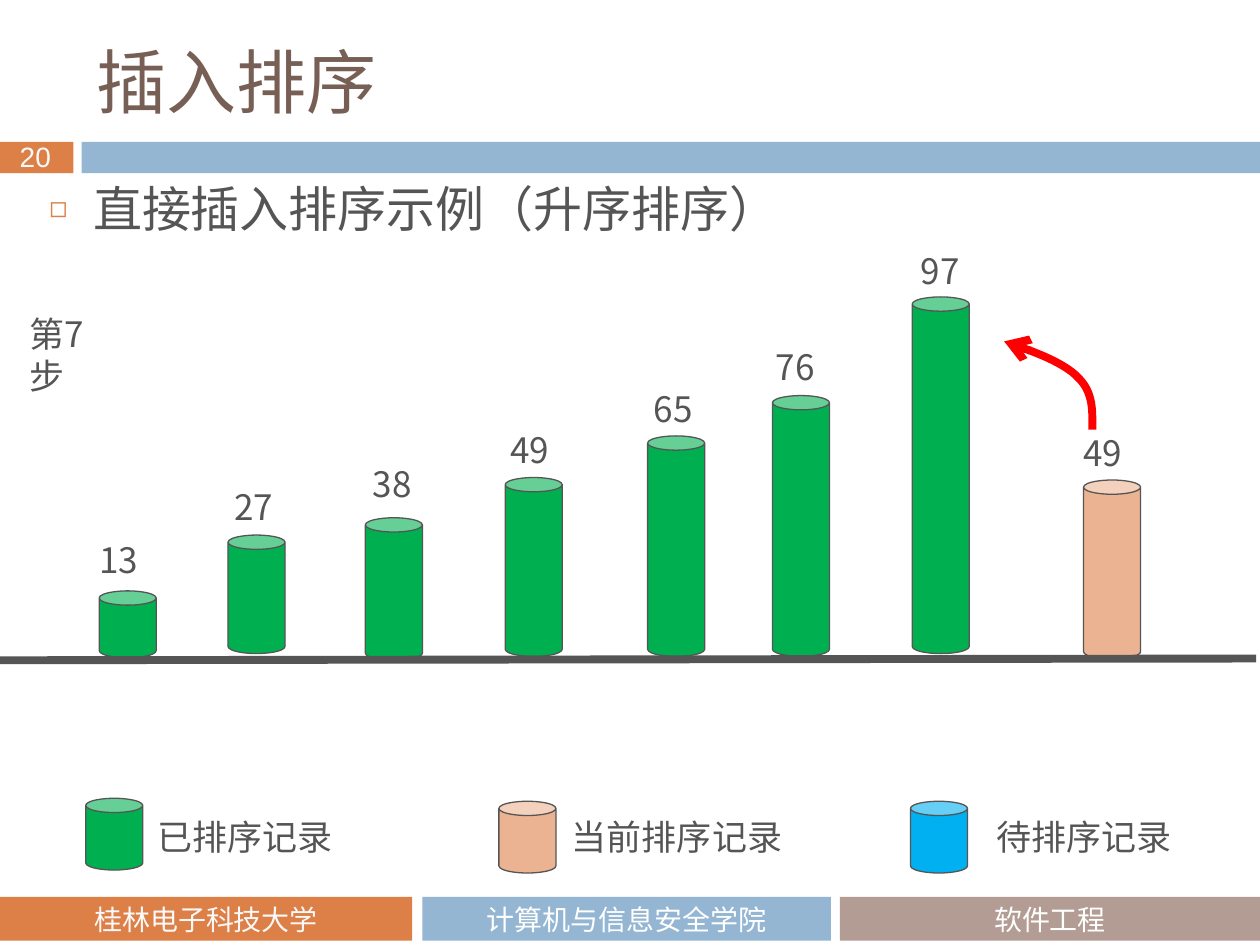
from dataclasses import dataclass

from lxml import etree
from pptx import Presentation
from pptx import util as u
from pptx.dml.color import RGBColor
from pptx.enum import shapes, text
from pptx.oxml import ns

Pt = u.Pt


@dataclass(frozen=True)
class Theme:
    orange: str = "DD8047"
    blue: str = "94B6D2"
    taupe: str = "B29C93"
    brown: str = "775F55"
    ink: str = "555555"
    white: str = "FFFFFF"
    off_white: str = "F9F9F9"
    sorted: str = "00B050"
    current: str = "EBB391"
    waiting: str = "00B0F0"
    red: str = "FF0000"
    title_font: str = "Noto Sans CJK JP"
    body_font: str = "Noto Sans CJK SC"
    footer_font: str = "Cabin"
    number_font: str = "Arial"
    title_size: int = 40
    body_size: int = 28
    label_size: int = 20
    footer_size: int = 16


def add_element(parent, tag, **attributes):
    return etree.SubElement(parent, ns.qn(tag), attributes)


def bezier(start, first, second, end, steps=16):
    """Points along a cubic curve, without its start."""
    for step in range(1, steps + 1):
        t = step / steps
        s = 1 - t
        yield tuple(s**3 * a + 3 * s * s * t * b + 3 * s * t * t * c + t**3 * d
                    for a, b, c, d in zip(start, first, second, end))


class SlideBuilder:
    def __init__(self, slide, theme):
        self.slide = slide
        self.theme = theme

    def style(self, paragraph, font, size, color):
        for run in paragraph.runs:
            run.font.name = font
            run.font.size = Pt(size)
            run.font.color.rgb = RGBColor.from_string(color)
            add_element(run.font._element, "a:ea", typeface=font)

    def place(self, shape, left, top, width, height):
        shape.left, shape.top = Pt(left), Pt(top)
        shape.width, shape.height = Pt(width), Pt(height)

    def title(self, words, *box):
        shape = self.slide.shapes.title
        self.place(shape, *box)
        frame = shape.text_frame
        frame.text = words
        frame.vertical_anchor = text.MSO_ANCHOR.MIDDLE
        frame.paragraphs[0].alignment = text.PP_ALIGN.LEFT
        self.style(frame.paragraphs[0], self.theme.title_font,
                   self.theme.title_size, self.theme.brown)

    def bullet(self, words, *box):
        shape = self.slide.placeholders[1]
        self.place(shape, *box)
        shape.text_frame.text = words
        paragraph = shape.text_frame.paragraphs[0]
        properties = paragraph._p.get_or_add_pPr()
        properties.set("marL", str(Pt(25)))
        properties.set("indent", str(Pt(-25)))
        color = add_element(properties, "a:buClr")
        add_element(color, "a:srgbClr", val=self.theme.orange)
        add_element(properties, "a:buSzPct", val="60000")
        add_element(properties, "a:buChar", char="◻")
        paragraph.line_spacing = Pt(30)
        paragraph.space_before = Pt(0)
        self.style(paragraph, self.theme.body_font, self.theme.body_size, self.theme.ink)

    def shape(self, kind, fill, *box):
        shape = self.slide.shapes.add_shape(kind, *map(Pt, box))
        shape.shadow.inherit = False
        shape.fill.solid()
        shape.fill.fore_color.rgb = RGBColor.from_string(fill)
        shape.line.fill.background()
        return shape

    def bar(self, fill, *box, words="", color=None):
        shape = self.shape(shapes.MSO_SHAPE.RECTANGLE, fill, *box)
        if words:
            frame = shape.text_frame
            frame.text = words
            frame.vertical_anchor = text.MSO_ANCHOR.MIDDLE
            frame.paragraphs[0].alignment = text.PP_ALIGN.CENTER
            self.style(frame.paragraphs[0], self.theme.footer_font,
                       self.theme.footer_size, color)

    def can(self, fill, left, top, height):
        shape = self.shape(shapes.MSO_SHAPE.CAN, fill, left, top, 32.6, height)
        shape.line.color.rgb = RGBColor.from_string(self.theme.ink)
        shape.line.width = Pt(0.75)

    def label(self, words, *box, wrap=False, anchor=text.MSO_ANCHOR.MIDDLE,
              font=None, size=None, color=None):
        frame = self.slide.shapes.add_textbox(*map(Pt, box)).text_frame
        frame.text = words
        frame.word_wrap = wrap
        frame.auto_size = text.MSO_AUTO_SIZE.SHAPE_TO_FIT_TEXT
        frame.vertical_anchor = anchor
        self.style(frame.paragraphs[0], font or self.theme.body_font,
                   size or self.theme.label_size, color or self.theme.ink)

    def line(self, *ends):
        line = self.slide.shapes.add_connector(
            shapes.MSO_CONNECTOR.STRAIGHT, *map(Pt, ends))
        line.line.color.rgb = RGBColor.from_string(self.theme.ink)
        line.line.width = Pt(4.5)
        add_element(line._element.spPr, "a:effectLst")

    def curved_arrow(self, start, *curves):
        points = [start]
        for curve in curves:
            points.extend(bezier(points[-1], *curve))
        builder = self.slide.shapes.build_freeform(*map(Pt, start))
        builder.add_line_segments([(Pt(x), Pt(y)) for x, y in points[1:]], close=False)
        arrow = builder.convert_to_shape()
        arrow.shadow.inherit = False
        arrow.fill.background()
        arrow.line.color.rgb = RGBColor.from_string(self.theme.red)
        arrow.line.width = Pt(4.5)
        add_element(arrow.line._get_or_add_ln(), "a:tailEnd", type="arrow")


def main():
    theme = Theme()
    presentation = Presentation()
    presentation.slide_width, presentation.slide_height = Pt(720), Pt(540)
    slide = presentation.slides.add_slide(presentation.slide_layouts[1])
    builder = SlideBuilder(slide, theme)

    # Header band and slide number
    builder.bar(theme.orange, 0, 81, 42, 18)
    builder.bar(theme.blue, 46.6, 81, 673.4, 18)
    builder.label("20", 4.2, 76.3, 34.6, 26.6, anchor=text.MSO_ANCHOR.TOP,
                  font=theme.number_font, size=theme.footer_size, color=theme.off_white)

    # Footer
    for fill, left, width, words, color in (
        (theme.orange, 0, 235.6, "桂林电子科技大学", theme.off_white),
        (theme.blue, 241.4, 233.4, "计算机与信息安全学院", theme.white),
        (theme.taupe, 480, 240, "软件工程", theme.white),
    ):
        builder.bar(fill, left, 512.6, width, 25, words=words, color=color)

    # Title and topic
    builder.title("插入排序", 48, 18, 642, 56)
    builder.bullet("直接插入排序示例（升序排序）", 21, 102.2, 642, 53.3)

    # Records: value, fill, can left, top and height, label left and top
    for value, fill, left, top, height, label_left, label_top in (
        (13, theme.sorted, 56.7, 337.7, 38.2, 49.7, 303.8),
        (27, theme.sorted, 130.3, 305.8, 67.7, 126.7, 273.6),
        (38, theme.sorted, 208.8, 295.9, 81.4, 205.9, 260.6),
        (49, theme.sorted, 288.7, 272.9, 102.2, 284.4, 241.2),
        (65, theme.sorted, 370.1, 249.1, 126, 366.5, 217.4),
        (76, theme.sorted, 441.4, 226.1, 149, 436.3, 193.7),
        (97, theme.sorted, 521.3, 169.7, 203.8, 519.1, 139),
        (49, theme.current, 619.2, 274.3, 102.2, 612, 242.6),
    ):
        builder.can(fill, left, top, height)
        builder.label(str(value), label_left, label_top, 39.6, 31.7)

    # Legend
    for fill, left, top, words, label_left, width in (
        (theme.sorted, 49, 456.2, "已排序记录", 82.8, 115.2),
        (theme.current, 285.1, 457.9, "当前排序记录", 319.7, 135.4),
        (theme.waiting, 520.3, 457.9, "待排序记录", 562.3, 115.2),
    ):
        builder.can(fill, left, top, 41)
        builder.label(words, label_left, 462.2, width, 31.7)

    # Ground line, step and insertion arrow
    builder.line(0, 377.3, 717.8, 376.3)
    builder.label("第7步", 10, 175, 54, 31.7, wrap=True, anchor=text.MSO_ANCHOR.TOP)
    builder.curved_arrow(
        (624.2, 245.5),
        ((624.2, 235.4), (625, 224.6), (616.3, 216)),
        ((608.4, 207.4), (591.1, 200.9), (573.8, 195.1)),
    )

    presentation.save("out.pptx")


if __name__ == "__main__":
    main()
